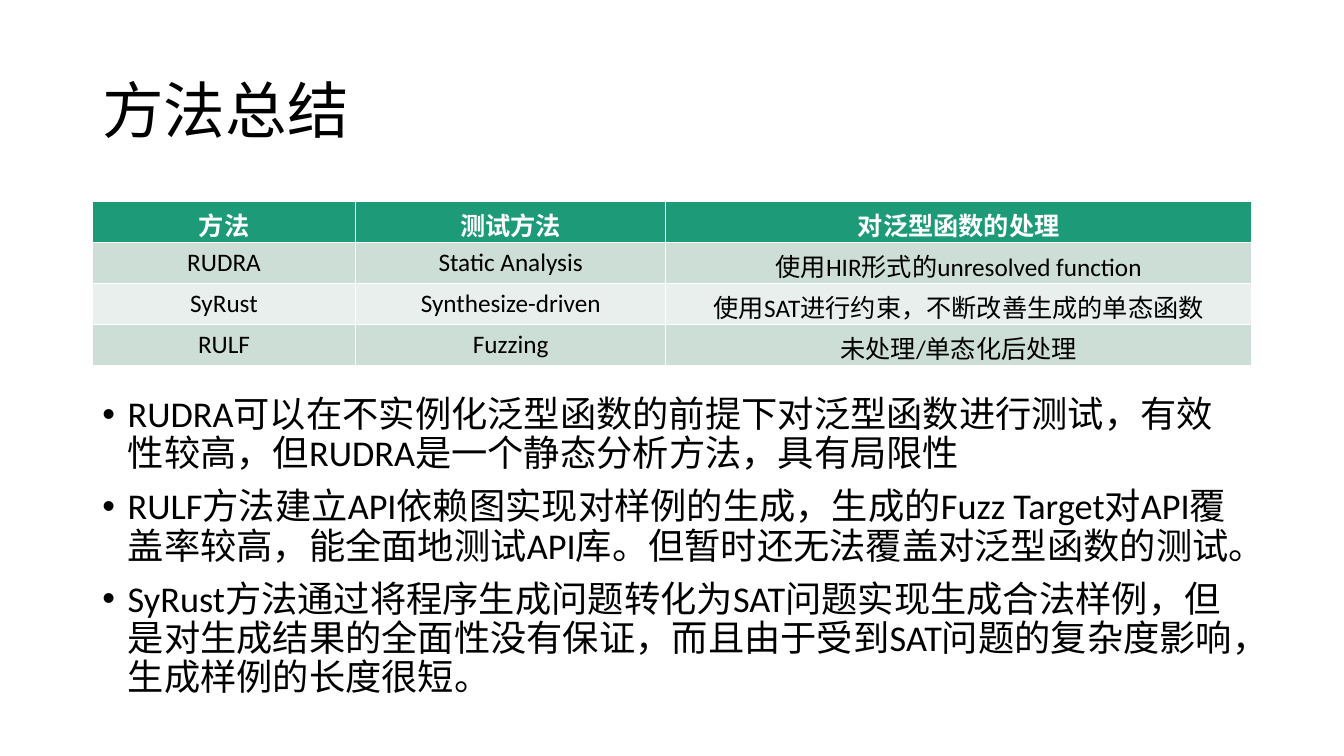
from pptx import Presentation
from pptx.dml.color import RGBColor as RGB
from pptx.enum.text import MSO_ANCHOR as ANCHOR, PP_ALIGN as ALIGN
from pptx.oxml.ns import qn
from pptx.util import Cm, Pt
from lxml.etree import SubElement

THEME = {
    "font": "Calibri",
    "text": RGB.from_string("000000"),
    "header_text": RGB.from_string("FFFFFF"),
    "header_fill": RGB.from_string("1D9A78"),
    "bands": [RGB.from_string("CDDED6"), RGB.from_string("E8EFEC")],
    "title_size": Pt(44),
    "table_size": Pt(18),
    "body_size": Pt(25.9),
}
LEFT, WIDTH = Cm(2.33), Cm(29.21)
COL_WIDTHS = [6.63, 7.82, 14.76]
ROW_HEIGHT = 1.03
ROWS = [
    ["方法", "测试方法", "对泛型函数的处理"],
    ["RUDRA", "Static Analysis", "使用HIR形式的unresolved function"],
    ["SyRust", "Synthesize-driven", "使用SAT进行约束，不断改善生成的单态函数"],
    ["RULF", "Fuzzing", "未处理/单态化后处理"],
]
POINTS = [
    "RUDRA可以在不实例化泛型函数的前提下对泛型函数进行测试，有效性较高，但RUDRA是一个静态分析方法，具有局限性",
    "RULF方法建立API依赖图实现对样例的生成，生成的Fuzz Target对API覆盖率较高，能全面地测试API库。但暂时还无法覆盖对泛型函数的测试。",
    "SyRust方法通过将程序生成问题转化为SAT问题实现生成合法样例，但是对生成结果的全面性没有保证，而且由于受到SAT问题的复杂度影响，生成样例的长度很短。",
]


def write(p, text, size, color=THEME["text"], bold=False, **layout):
    r = p.add_run()
    r.text = text
    r.font.color.rgb = color
    for name, value in {"name": THEME["font"], "size": size, "bold": bold}.items():
        setattr(r.font, name, value)
    for name, value in layout.items():
        setattr(p, name, value)


def add_box(s, top, height, anchor):
    tf = s.shapes.add_textbox(LEFT, Cm(top), WIDTH, Cm(height)).text_frame
    for name, value in {"word_wrap": True, "vertical_anchor": anchor}.items():
        setattr(tf, name, value)
    return tf


prs = Presentation()
prs.slide_width, prs.slide_height = Cm(33.87), Cm(19.05)
s = prs.slides.add_slide(prs.slide_layouts[6])

tf = add_box(s, 1.01, 3.68, ANCHOR.MIDDLE)
write(tf.paragraphs[0], "方法总结", THEME["title_size"], line_spacing=0.9)

table = s.shapes.add_table(
    len(ROWS), len(COL_WIDTHS), LEFT, Cm(5.08), WIDTH, Cm(ROW_HEIGHT * len(ROWS))
).table
for col, width in zip(table.columns, COL_WIDTHS):
    col.width = Cm(width)
for i, texts in enumerate(ROWS):
    header = i == 0
    for j, text in enumerate(texts):
        cell = table.cell(i, j)
        cell.fill.solid()
        cell.fill.fore_color.rgb = THEME["header_fill"] if header else THEME["bands"][(i - 1) % 2]
        color = THEME["header_text"] if header else THEME["text"]
        write(cell.text_frame.paragraphs[0], text, THEME["table_size"], color, header,
              alignment=ALIGN.CENTER)

tf = add_box(s, 9.86, 8.18, ANCHOR.TOP)
for i, text in enumerate(POINTS):
    p = tf.add_paragraph() if i else tf.paragraphs[0]
    write(p, text, THEME["body_size"], line_spacing=0.9, space_before=Pt(10 if i else 0))
    pPr = p._p.get_or_add_pPr()
    for name, value in {"marL": Cm(0.64), "indent": -Cm(0.64)}.items():
        pPr.set(name, str(value))
    SubElement(pPr, qn("a:buFont")).set("typeface", "Arial")
    SubElement(pPr, qn("a:buChar")).set("char", "•")

prs.save("out.pptx")
